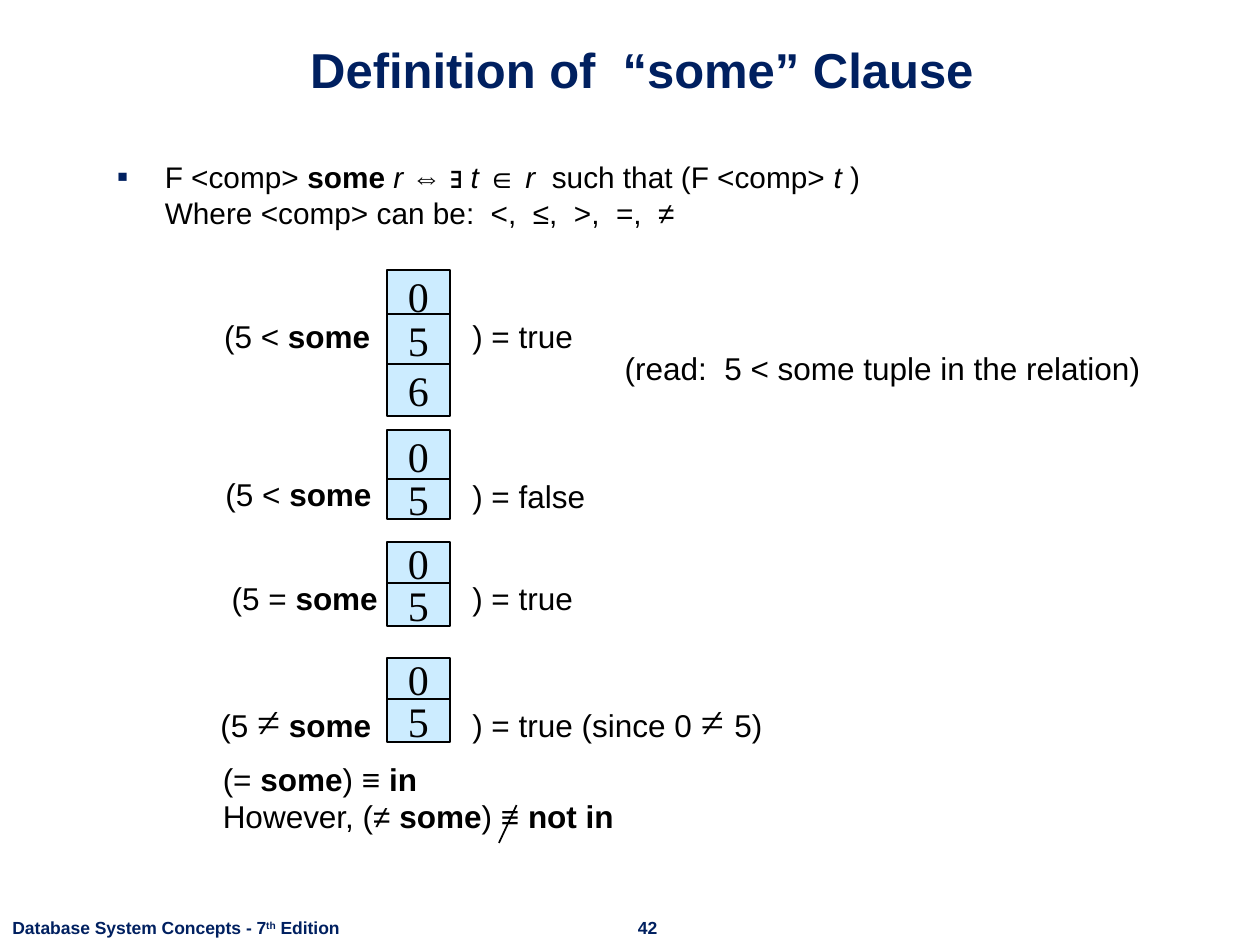
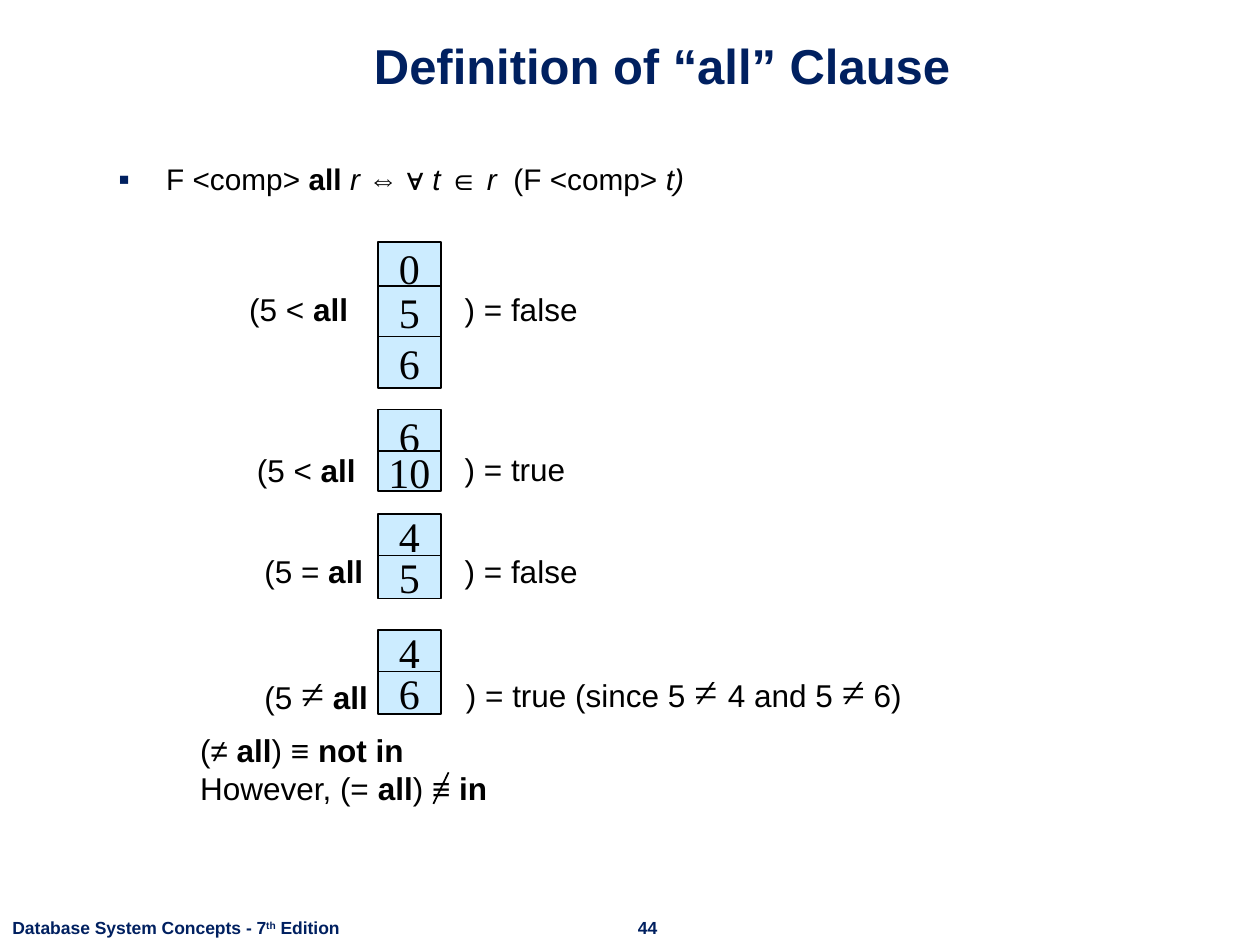
from lxml import etree
from pptx import Presentation
from pptx.dml.color import RGBColor
from pptx.enum.shapes import MSO_CONNECTOR as Connector, MSO_SHAPE as Shape
from pptx.enum.text import MSO_ANCHOR as Anchor, PP_ALIGN as Align
from pptx.oxml.ns import qn
from pptx.util import Inches, Pt

NAVY, BLACK, PALE_BLUE = "002060", "000000", "CCECFF"
STYLES = {
    "*": {"bold": True},
    "_": {"italic": True},
    "~": {"size": Pt(24), "name": "Times New Roman"},
    "^": {},
}
CELL_WIDTH = 0.5
TRIPLE = [(0, 0.41), (0.35, 0.41), (0.75, 0.41)]
PAIR = [(0, 0.34), (0.33, 0.34)]

SOME = {
    "number": "42",
    "title": ("Definition of  “some” Clause", (0.68, 0.16, 8.83, 0.67)),
    "definition": (
        "F <comp> |*some |_r |⇔ ∃ |_t |∈|_ r  |such that (F <comp> |_t |)|\n|"
        "Where <comp> can be:  <,  ≤,  >,  =,  ≠", (0.83, 1.21, 7.44, 0.78)),
    "cell_left": 3.07,
    "relations": [
        (2.14, TRIPLE, ["0", "5", "6"]),
        (3.41, [(0, 0.42), (0.39, 0.32)], ["0", "5"]),
        (4.3, PAIR, ["0", "5"]),
        (5.22, PAIR, ["0", "5"]),
    ],
    "labels": [
        ("(5 < |*some", (1.68, 2.47, 1.48, 0.4)),
        (") = true", (3.65, 2.47, 1, 0.4)),
        ("(read:  5 < some tuple in the relation)", (4.86, 2.72, 5.33, 0.4)),
        ("(5 < |*some", (1.69, 3.72, 1.51, 0.4)),
        (") = false", (3.65, 3.74, 1.33, 0.4)),
        ("(5 = |*some", (1.74, 4.55, 1.67, 0.4)),
        (") = true", (3.65, 4.55, 1.33, 0.4)),
        ("(5 |~≠| |*some", (1.65, 5.47, 1.58, 0.5)),
        (") = true (since 0 |~≠ |5)", (3.65, 5.47, 2.75, 0.5)),
    ],
    "conclusion": (["(= |*some|) ≡ |*in", "However, (≠ |*some|) ≡ |*not in"],
                   (1.67, 5.98, 7.44, 0.78)),
    "strike": (4.1, 6.39, 3.96, 6.69),
}

ALL = {
    "number": "44",
    "title": ("Definition of “all” Clause", (0.84, 0.13, 8.83, 0.67)),
    "definition": ("F <comp> |*all |_r |⇔ ∀ |_t |∈|_ r | (F <comp> |_t)",
                   (0.84, 1.23, 7.32, 0.42)),
    "cell_left": 3,
    "relations": [
        (1.92, TRIPLE, ["0", "5", "6"]),
        (3.25, [(0, 0.42), (0.33, 0.32)], ["6", "10"]),
        (4.08, PAIR, ["4", "5"]),
        (5, PAIR, ["4", "6"]),
    ],
    "labels": [
        ("(5 < |*all", (1.88, 2.25, 1.33, 0.4)),
        (") = false", (3.59, 2.25, 1.33, 0.4)),
        ("(5 < |*all", (1.94, 3.53, 1.33, 0.4)),
        (") = true", (3.59, 3.52, 1.33, 0.4)),
        ("(5 = |*all", (2, 4.33, 1.33, 0.4)),
        (") = false", (3.59, 4.33, 1.33, 0.4)),
        ("(5 |~≠| |*all", (2, 5.25, 1.83, 0.5)),
        (") = true (since 5 |~≠ |4 and 5 |~≠| 6)", (3.6, 5.23, 5, 0.5)),
    ],
    "conclusion": (["(≠ |*all|) ≡ |*not in", "However, (= |*all|) ≡ |*in"],
                   (1.49, 5.75, 7.44, 0.78)),
    "strike": (3.56, 6.13, 3.44, 6.38),
}


def color(value):
    return RGBColor.from_string(value)


def set_format(target, values):
    for name, value in values.items():
        setattr(target, name, value)


def inches(box):
    return [Inches(length) for length in box]


def add_runs(paragraph, text, size, ink, bold):
    for piece in text.split("|"):
        if piece == "\n":
            paragraph.add_line_break()
            continue
        marker = piece[0] if piece[0] in STYLES else ""
        run = paragraph.add_run()
        run.text = piece[len(marker):]
        base = {"name": "Arial", "size": Pt(size), "bold": bold}
        set_format(run.font, base | STYLES.get(marker, {}))
        run.font.color.rgb = color(ink)
        if marker == "^":
            run._r.get_or_add_rPr().set("baseline", "30000")


def fill_frame(frame, lines, size=18, ink=BLACK, bold=False, align=Align.LEFT,
               anchor=Anchor.TOP, wrap=True):
    set_format(frame, {"word_wrap": wrap, "vertical_anchor": anchor})
    for index, line in enumerate(lines):
        paragraph = frame.add_paragraph() if index else frame.paragraphs[0]
        paragraph.alignment = align
        add_runs(paragraph, line, size, ink, bold)


def add_text(slide, lines, box, **options):
    frame = slide.shapes.add_textbox(*inches(box)).text_frame
    fill_frame(frame, lines, **options)
    return frame


def add_footer(slide, number):
    style = {"size": 10, "ink": NAVY, "bold": True, "wrap": False}
    add_text(slide, [number], (4.92, 7.23, 0.44, 0.27), align=Align.CENTER, **style)
    add_text(slide, ["Database System Concepts - 7|^th| Edition"],
             (0, 7.23, 2.81, 0.27), **style)


def add_definition(slide, text, box):
    frame = add_text(slide, [text], box, size=17)
    properties = frame.paragraphs[0]._p.get_or_add_pPr()
    indent = Inches(0.38)
    properties.set("marL", str(indent))
    properties.set("indent", str(-indent))
    bullet_color = etree.SubElement(properties, qn("a:buClr"))
    etree.SubElement(bullet_color, qn("a:srgbClr"), val=NAVY)
    etree.SubElement(properties, qn("a:buSzPct"), val="110000")
    etree.SubElement(properties, qn("a:buFont"), typeface="Arial")
    etree.SubElement(properties, qn("a:buChar"), char="▪")


def add_relation(slide, left, top, rows, values):
    for (offset, height), value in zip(rows, values):
        cell = slide.shapes.add_shape(
            Shape.RECTANGLE, *inches((left, top + offset, CELL_WIDTH, height)))
        cell.shadow.inherit = False
        cell.fill.solid()
        cell.fill.fore_color.rgb = color(PALE_BLUE)
        cell.line.color.rgb = color(BLACK)
        cell.line.width = Pt(1)
        fill_frame(cell.text_frame, ["~" + value], align=Align.CENTER,
                   anchor=Anchor.MIDDLE, wrap=False)


def add_strike(slide, ends):
    strike = slide.shapes.add_connector(Connector.STRAIGHT, *inches(ends))
    strike.line.color.rgb = color(BLACK)
    strike.line.width = Pt(1)
    etree.SubElement(strike._element.spPr, qn("a:effectLst"))


def add_clause_slide(presentation, clause):
    slide = presentation.slides.add_slide(presentation.slide_layouts[6])
    add_footer(slide, clause["number"])
    title, title_box = clause["title"]
    add_text(slide, [title], title_box, size=28, ink=NAVY, bold=True,
             align=Align.CENTER, anchor=Anchor.BOTTOM)
    add_definition(slide, *clause["definition"])
    for relation in clause["relations"]:
        add_relation(slide, clause["cell_left"], *relation)
    for text, box in clause["labels"]:
        add_text(slide, [text], box)
    add_text(slide, *clause["conclusion"])
    add_strike(slide, clause["strike"])


def main():
    presentation = Presentation()
    set_format(presentation, {"slide_width": Inches(10), "slide_height": Inches(7.5)})
    for clause in (SOME, ALL):
        add_clause_slide(presentation, clause)
    presentation.save("out.pptx")


if __name__ == "__main__":
    main()
